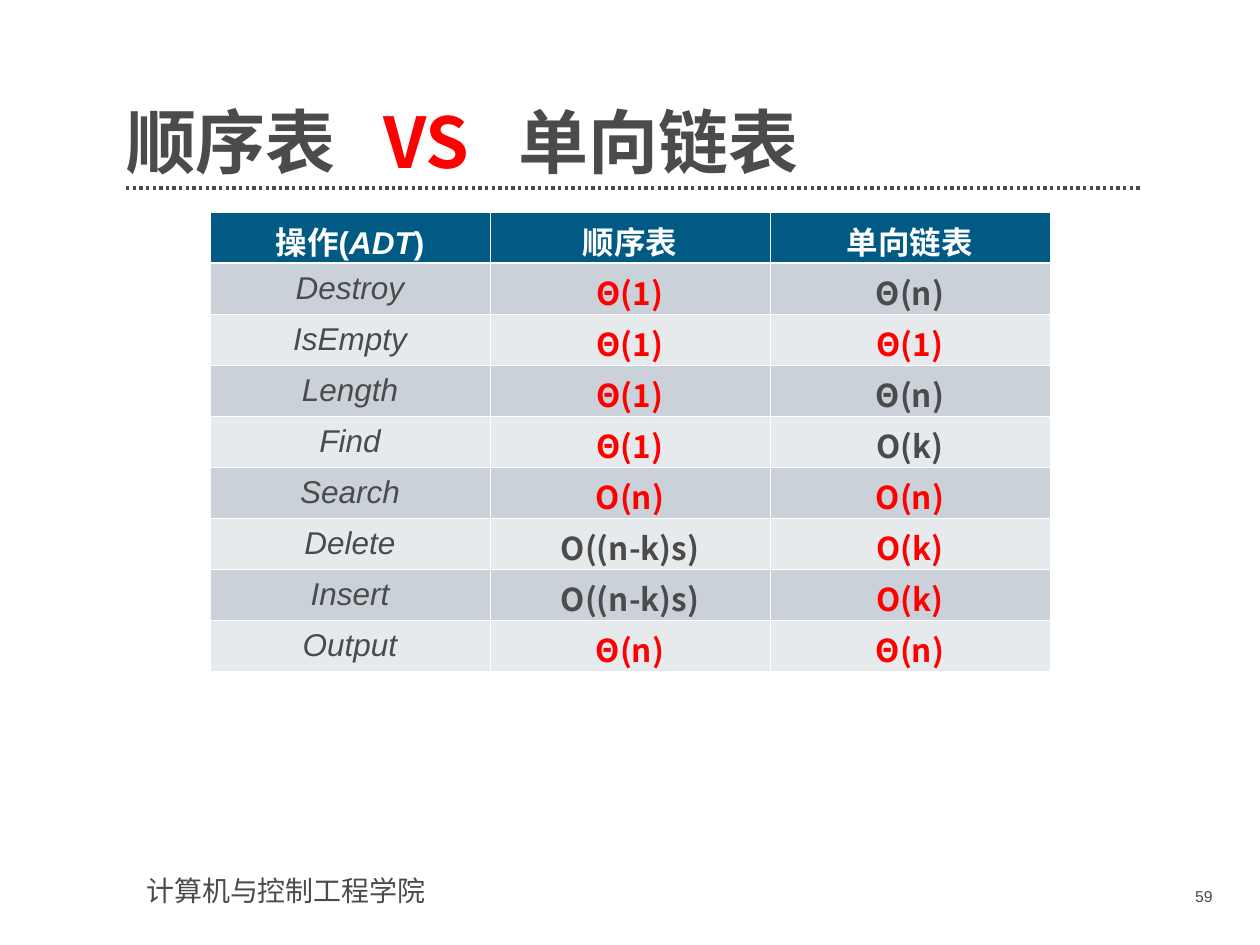
import pptx
import pptx.util
import pptx.dml.color
import pptx.enum.dml
import pptx.enum.shapes
import pptx.enum.text
import pptx.oxml.ns
import lxml.etree

PX = 914400 // 126
NOTO = "Noto Sans CJK SC"
GREY, RED, WHITE = "4B4B4B", "FF0000", "FFFFFF"
ALIGN = pptx.enum.text.PP_ALIGN
ANCHOR = pptx.enum.text.MSO_ANCHOR


def color(code):
    return pptx.dml.color.RGBColor.from_string(code)


def write(frame, text, size=18, font="Arial", fill=GREY, bold=False, italic=False, align=ALIGN.LEFT):
    frame.word_wrap = True
    paragraph = frame.paragraphs[0]
    paragraph.alignment = align
    run = paragraph.add_run()
    run.text = text
    run.font.size = pptx.util.Pt(size)
    run.font.name = font
    run.font.bold = bold
    run.font.italic = italic
    run.font.color.rgb = color(fill)
    east_asian = lxml.etree.SubElement(run.font._element, pptx.oxml.ns.qn("a:ea"))
    east_asian.set("typeface", NOTO)


deck = pptx.Presentation()
deck.slide_width = 1260 * PX
deck.slide_height = 945 * PX
slide = deck.slides.add_slide(deck.slide_layouts[6])

rule = slide.shapes.add_connector(
    pptx.enum.shapes.MSO_CONNECTOR.STRAIGHT, 126 * PX, 188 * PX, 1142 * PX, 188 * PX)
rule.line.color.rgb = color(GREY)
rule.line.width = pptx.util.Pt(1.9)
rule.line.dash_style = pptx.enum.dml.MSO_LINE.ROUND_DOT
lxml.etree.SubElement(rule._element.spPr, pptx.oxml.ns.qn("a:effectLst"))

school = slide.shapes.add_textbox(134 * PX, 867 * PX, 323 * PX, 47 * PX).text_frame
write(school, "计算机与控制工程学院", size=16)

title = slide.shapes.add_textbox(126 * PX, 69 * PX, 1016 * PX, 115 * PX).text_frame
title.margin_left = title.margin_right = title.margin_top = title.margin_bottom = 0
title.vertical_anchor = ANCHOR.BOTTOM
title_line = title.paragraphs[0]
title_line.line_spacing = 0.9
tabs = lxml.etree.SubElement(title_line._p.get_or_add_pPr(), pptx.oxml.ns.qn("a:tabLst"))
for stop in (257, 393):
    lxml.etree.SubElement(tabs, pptx.oxml.ns.qn("a:tab"), pos=str(stop * PX), algn="l")
for part, fill in (("顺序表\t", GREY), ("VS\t", RED), ("单向链表", GREY)):
    write(title, part, size=40, font=NOTO, fill=fill, bold=True)

page_number = slide.shapes.add_textbox(1100 * PX, 881 * PX, 125 * PX, 37 * PX).text_frame
write(page_number, "59", size=9, align=ALIGN.RIGHT)

header = ("操作(ADT)", "顺序表", "单向链表")
costs = (
    ("Destroy", "Θ(1)", RED, "Θ(n)", GREY),
    ("IsEmpty", "Θ(1)", RED, "Θ(1)", RED),
    ("Length", "Θ(1)", RED, "Θ(n)", GREY),
    ("Find", "Θ(1)", RED, "Ο(k)", GREY),
    ("Search", "Ο(n)", RED, "Ο(n)", RED),
    ("Delete", "Ο((n-k)s)", GREY, "Ο(k)", RED),
    ("Insert", "Ο((n-k)s)", GREY, "Ο(k)", RED),
    ("Output", "Θ(n)", RED, "Θ(n)", RED),
)

comparison = slide.shapes.add_table(
    len(costs) + 1, len(header), 210 * PX, 212 * PX, 840 * PX, 459 * PX).table
comparison.horz_banding = False
for column in comparison.columns:
    column.width = 280 * PX
for row in comparison.rows:
    row.height = 51 * PX

for index, row in enumerate(comparison.rows):
    band = "005A84" if index == 0 else ("E7EAED", "CBD1D9")[index % 2]
    for cell in row.cells:
        cell.fill.solid()
        cell.fill.fore_color.rgb = color(band)
        cell.vertical_anchor = ANCHOR.MIDDLE
        cell.margin_left = cell.margin_right = pptx.util.Inches(0.1)
        cell.margin_top = cell.margin_bottom = pptx.util.Inches(0.05)
        properties = cell._tc.get_or_add_tcPr()
        for place, side in enumerate("LRTB"):
            under_header = (index, side) in ((0, "B"), (1, "T"))
            edge = lxml.etree.Element(pptx.oxml.ns.qn("a:ln" + side))
            edge.set("w", str(pptx.util.Pt(1.47 if under_header else 0.45)))
            stroke = lxml.etree.SubElement(edge, pptx.oxml.ns.qn("a:solidFill"))
            lxml.etree.SubElement(stroke, pptx.oxml.ns.qn("a:srgbClr"), val=WHITE)
            properties.insert(place, edge)

for index, heading in enumerate(header):
    for part in heading.replace("ADT", "|ADT|").split("|"):
        write(comparison.cell(0, index).text_frame, part, fill=WHITE, bold=True,
              italic=part == "ADT", align=ALIGN.CENTER)

for index, (operation, array_cost, array_fill, list_cost, list_fill) in enumerate(costs, 1):
    write(comparison.cell(index, 0).text_frame, operation, italic=True, align=ALIGN.CENTER)
    for column, cost, fill in ((1, array_cost, array_fill), (2, list_cost, list_fill)):
        write(comparison.cell(index, column).text_frame, cost, font=NOTO, fill=fill,
              bold=True, align=ALIGN.CENTER)

deck.save("out.pptx")
